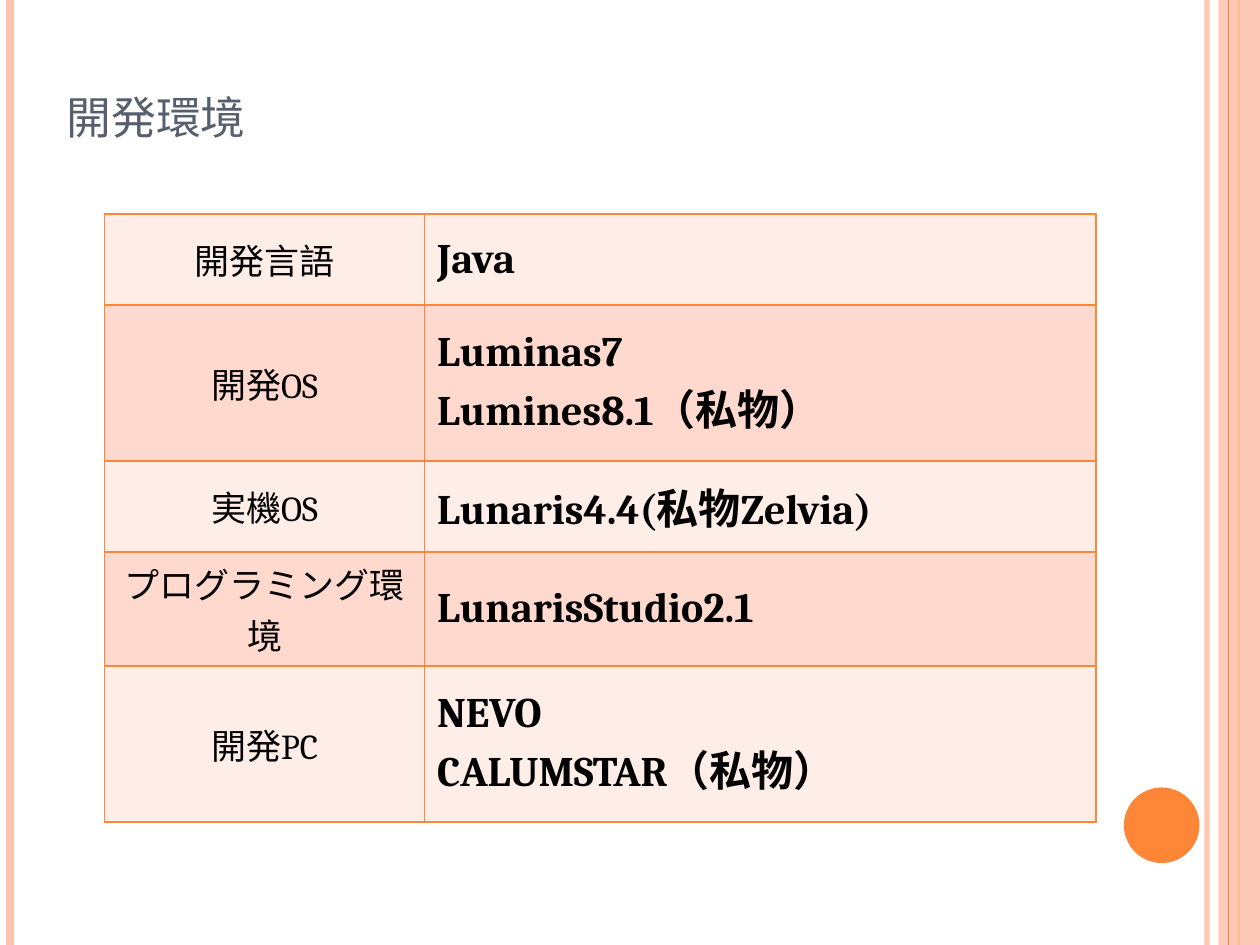
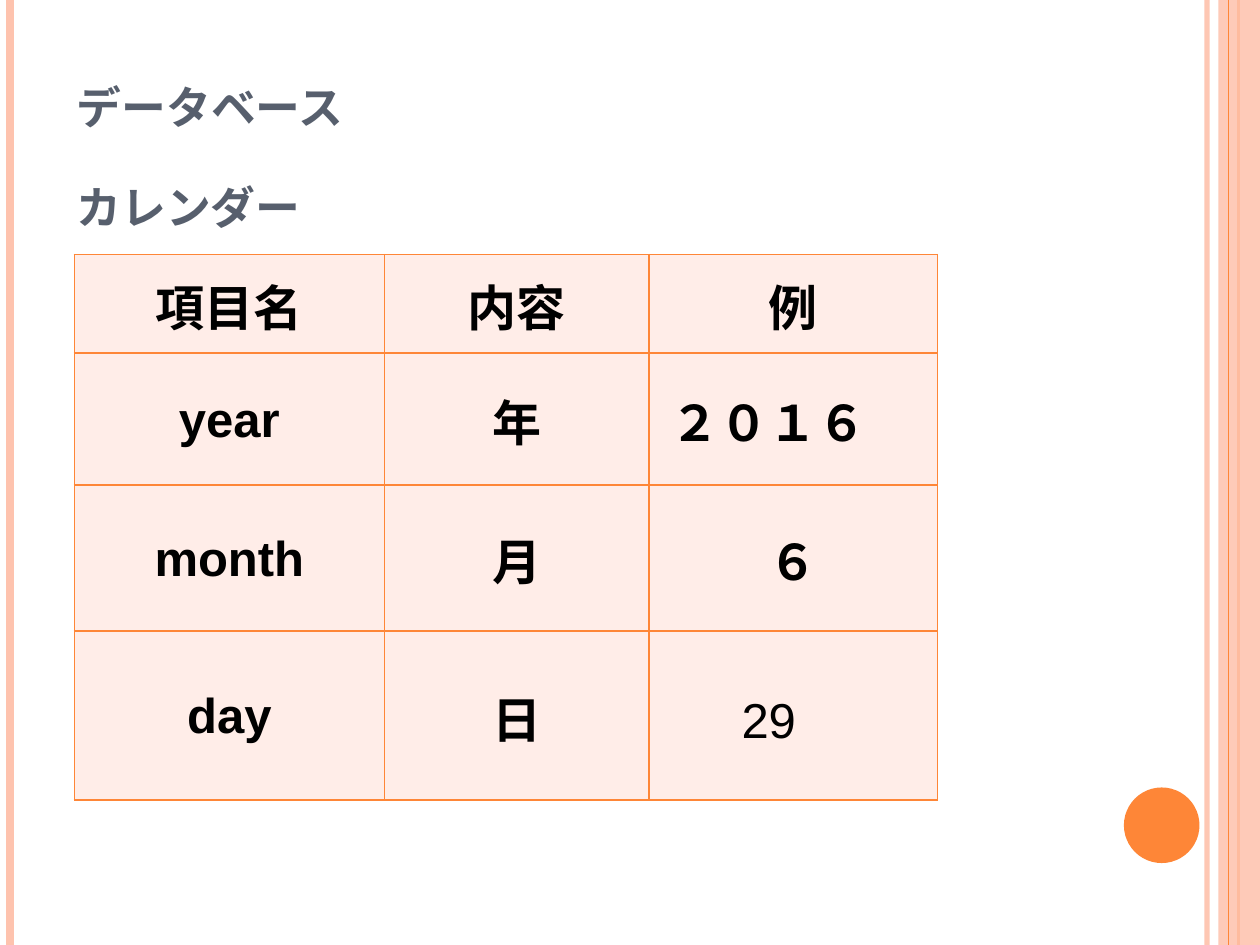
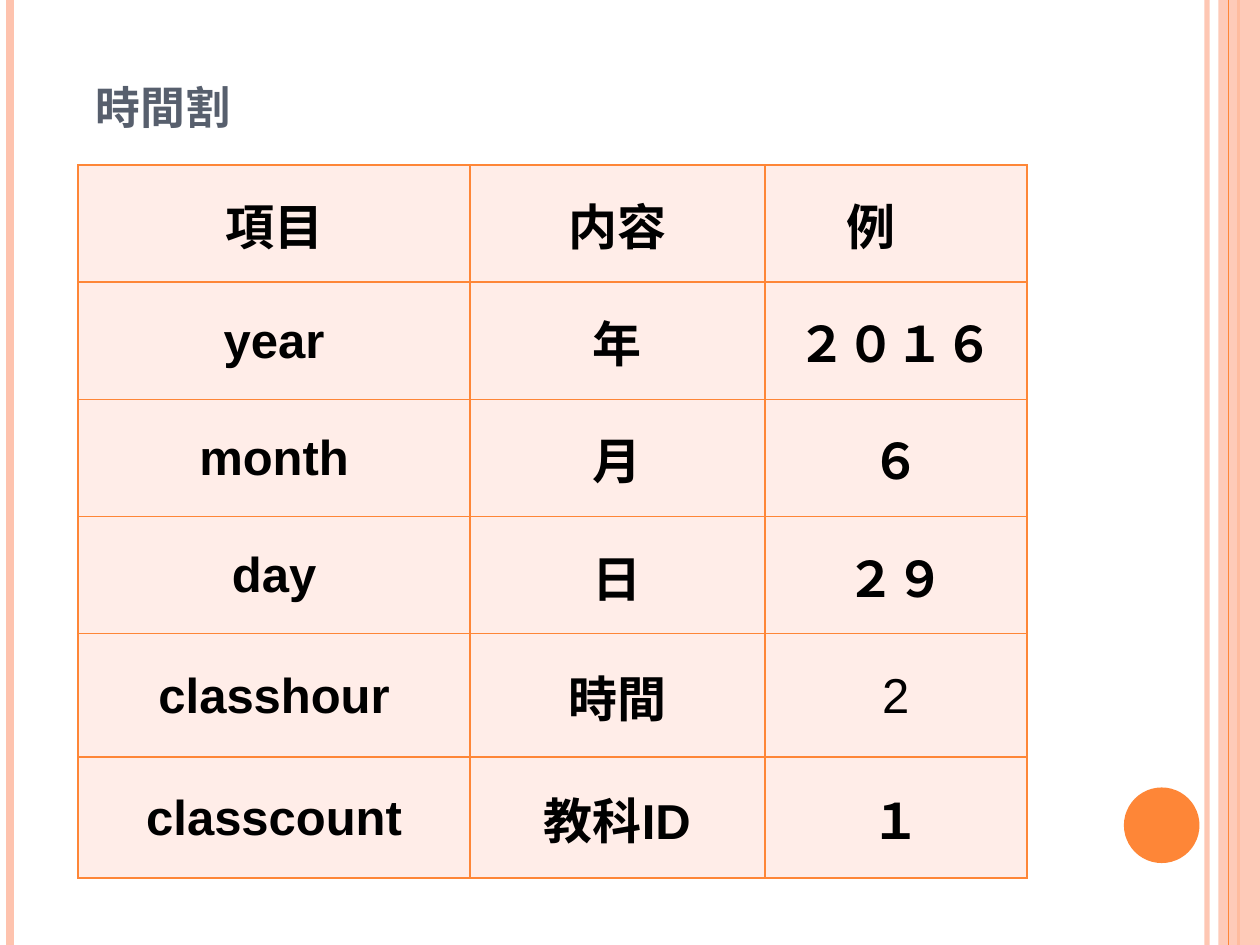
from collections import namedtuple
from dataclasses import dataclass, replace

from lxml.etree import SubElement
from pptx import Presentation
from pptx.dml.color import RGBColor
from pptx.enum.shapes import MSO_CONNECTOR, MSO_SHAPE
from pptx.enum.text import MSO_ANCHOR, MSO_AUTO_SIZE, PP_ALIGN
from pptx.oxml import parse_xml
from pptx.oxml.ns import nsdecls, qn
from pptx.util import Inches, Pt

Box = namedtuple("Box", "left top width height")
Insets = namedtuple("Insets", "left top right bottom")


@dataclass(frozen=True)
class TextStyle:
    size: float
    font: str
    color: str = "000000"
    bold: bool = False
    align: PP_ALIGN = PP_ALIGN.CENTER


@dataclass(frozen=True)
class Theme:
    accent: str = "FE8637"
    band: str = "FEC3AE"
    cell: str = "FFEDE8"
    cell_alternate: str = "FFD9CE"
    border_width: float = 1
    east_asian_font: str = "Noto Sans CJK JP"
    title: TextStyle = TextStyle(32, "Noto Sans CJK JP", "575F6D", align=PP_ALIGN.LEFT)
    label: TextStyle = TextStyle(20, "Cambria")
    value: TextStyle = TextStyle(24, "Cambria", bold=True, align=PP_ALIGN.LEFT)
    field: TextStyle = TextStyle(28, "Arial", bold=True)


THEME = Theme()
HEADING = replace(THEME.title, bold=True)
PLAIN_FIELD = replace(THEME.field, bold=False)
DEFAULT_INSETS = Insets(0.1, 0.05, 0.1, 0.05)


def inches(values):
    return [Inches(value) for value in values]


def set_opacity(shape, percent):
    for color in shape.element.iter(qn("a:srgbClr")):
        SubElement(color, qn("a:alpha"), val=str(percent * 1000))


def set_east_asian_font(shape):
    for properties in shape.element.iter(qn("a:rPr")):
        SubElement(properties, qn("a:ea"), typeface=THEME.east_asian_font)


def write_text(text_frame, text, style):
    """Write each line of the text as its own paragraph."""
    for index, line in enumerate(text.split("\n")):
        paragraph = text_frame.add_paragraph() if index else text_frame.paragraphs[0]
        paragraph.alignment = style.align
        run = paragraph.add_run()
        run.text = line
        run.font.size = Pt(style.size)
        run.font.name = style.font
        run.font.bold = style.bold
        run.font.color.rgb = RGBColor.from_string(style.color)


def add_vertical_line(slide, box, x, color, width):
    left = Inches(box.left + x)
    line = slide.shapes.add_connector(
        MSO_CONNECTOR.STRAIGHT, left, Inches(box.top), left, Inches(box.top + box.height))
    line.line.color.rgb = RGBColor.from_string(color)
    line.line.width = Pt(width)
    SubElement(line.element.spPr, qn("a:effectLst"))
    return line


def add_filled_shape(slide, kind, box, color):
    shape = slide.shapes.add_shape(kind, *inches(box))
    shape.shadow.inherit = False
    shape.fill.solid()
    shape.fill.fore_color.rgb = RGBColor.from_string(color)
    shape.line.fill.background()
    return shape


def decorate_master(slide, master, box):
    """Draw the side bands and the disc, then move them to the master."""
    inner_line = add_vertical_line(slide, box, 9.58, THEME.band, 3)
    set_opacity(inner_line, 93)
    left_line = add_vertical_line(slide, box, 0.08, THEME.band, 4.5)
    edge_line = add_vertical_line(slide, box, 9.83, THEME.accent, 1.5)
    band = add_filled_shape(slide, MSO_SHAPE.RECTANGLE,
                            Box(box.left + 9.67, box.top, 0.33, box.height), THEME.band)
    set_opacity(band, 87)
    thin_line = add_vertical_line(slide, box, 9.75, THEME.accent, 0.75)
    disc = add_filled_shape(slide, MSO_SHAPE.OVAL,
                            Box(box.left + 8.92, box.top + 6.25, 0.6, 0.6), THEME.accent)
    for shape in (inner_line, left_line, edge_line, band, thin_line, disc):
        master.shapes.element.append(shape.element)


def format_heading(shape, box, text, style):
    shape.left, shape.top, shape.width, shape.height = inches(box)
    text_frame = shape.text_frame
    text_frame.word_wrap = True
    text_frame.auto_size = MSO_AUTO_SIZE.NONE
    text_frame.vertical_anchor = MSO_ANCHOR.BOTTOM
    write_text(text_frame, text, style)
    set_east_asian_font(shape)
    for properties in shape.element.iter(qn("a:rPr")):
        properties.set("cap", "small")


def set_borders(table_frame):
    for properties in table_frame.element.iter(qn("a:tcPr")):
        for index, side in enumerate(("lnL", "lnR", "lnT", "lnB")):
            properties.insert(index, parse_xml(
                f'<a:{side} {nsdecls("a")} w="{Pt(THEME.border_width)}"><a:solidFill>'
                f'<a:srgbClr val="{THEME.accent}"/></a:solidFill></a:{side}>'))


def add_grid(slide, box, columns, heights, rows, styles, fills=(THEME.cell,),
             insets=DEFAULT_INSETS, exceptions=None):
    """Add a table with one style per column; exceptions map (row, column) to a style."""
    exceptions = exceptions or {}
    frame = slide.shapes.add_table(len(rows), len(columns), *inches(box))
    table = frame.table
    table.first_row = table.horz_banding = False
    for column, width in zip(table.columns, columns):
        column.width = Inches(width)
    for row, height in zip(table.rows, heights):
        row.height = Inches(height)
    for row_index, texts in enumerate(rows):
        for column_index, text in enumerate(texts):
            cell = table.cell(row_index, column_index)
            cell.vertical_anchor = MSO_ANCHOR.MIDDLE
            (cell.margin_left, cell.margin_top,
             cell.margin_right, cell.margin_bottom) = inches(insets)
            cell.fill.solid()
            cell.fill.fore_color.rgb = RGBColor.from_string(fills[row_index % len(fills)])
            style = exceptions.get((row_index, column_index), styles[column_index])
            write_text(cell.text_frame, text, style)
    set_borders(frame)
    set_east_asian_font(frame)


def build_environment(slide, box):
    format_heading(slide.shapes.title, Box(box.left + 0.43, box.top + 0.44, 3.98, 0.77),
                   "開発環境", THEME.title)
    rows = [
        ("開発言語", "Java"),
        ("開発OS", "Luminas7\nLumines8.1（私物）"),
        ("実機OS", "Lunaris4.4(私物Zelvia)"),
        ("プログラミング環境", "LunarisStudio2.1"),
        ("開発PC", "NEVO\nCALUMSTAR（私物）"),
    ]
    add_grid(slide, Box(box.left + 0.83, box.top + 1.7, 7.87, 4.65),
             (2.54, 5.33), (0.72, 1.24, 0.72, 0.72, 1.24), rows,
             (THEME.label, THEME.value), (THEME.cell, THEME.cell_alternate))


def build_calendar(slide, box):
    heading_box = Box(box.left + 0.51, box.top + 0.36, 8.17, 0.77)
    format_heading(slide.shapes.title, heading_box, "データベース", HEADING)
    rows = [
        ("項目名", "内容", "例"),
        ("year", "年", "２０１６　"),
        ("month", "月", "６"),
        ("day", "日", "29　"),
    ]
    add_grid(slide, Box(box.left + 0.59, box.top + 2.02, 6.85, 4.33),
             (2.46, 2.1, 2.29), (0.78, 1.05, 1.16, 1.34), rows, [THEME.field] * 3,
             insets=Insets(0.02, 0.02, 0.02, 0), exceptions={(3, 2): PLAIN_FIELD})
    subtitle_box = heading_box._replace(top=box.top + 1.15)
    subtitle = slide.shapes.add_textbox(*inches(subtitle_box))
    format_heading(subtitle, subtitle_box, "カレンダー", HEADING)


def build_timetable(slide, box):
    format_heading(slide.shapes.title, Box(box.left + 0.66, box.top + 0.36, 8.17, 0.77),
                   "時間割", HEADING)
    rows = [
        ("項目", "内容", "例　"),
        ("year", "年", "２０１６"),
        ("month", "月", "６"),
        ("day", "日", "２９"),
        ("classhour", "時間", "2"),
        ("classcount", "教科ID", "１"),
    ]
    add_grid(slide, Box(box.left + 0.62, box.top + 1.31, 7.53, 5.67),
             (3.11, 2.34, 2.08), [0.93] * 4 + [0.98, 0.96], rows, [THEME.field] * 3,
             insets=Insets(0.01, 0.01, 0.01, 0), exceptions={(4, 2): PLAIN_FIELD})


def main():
    presentation = Presentation()
    page = Box(0, 0, 10, 7.5)
    presentation.slide_width = Inches(page.width)
    presentation.slide_height = Inches(page.height)
    title_only = presentation.slide_layouts[5]
    for index, build in enumerate((build_environment, build_calendar, build_timetable)):
        slide = presentation.slides.add_slide(title_only)
        if index == 0:
            decorate_master(slide, presentation.slide_master, page)
        build(slide, page)
    presentation.save("out.pptx")


if __name__ == "__main__":
    main()
